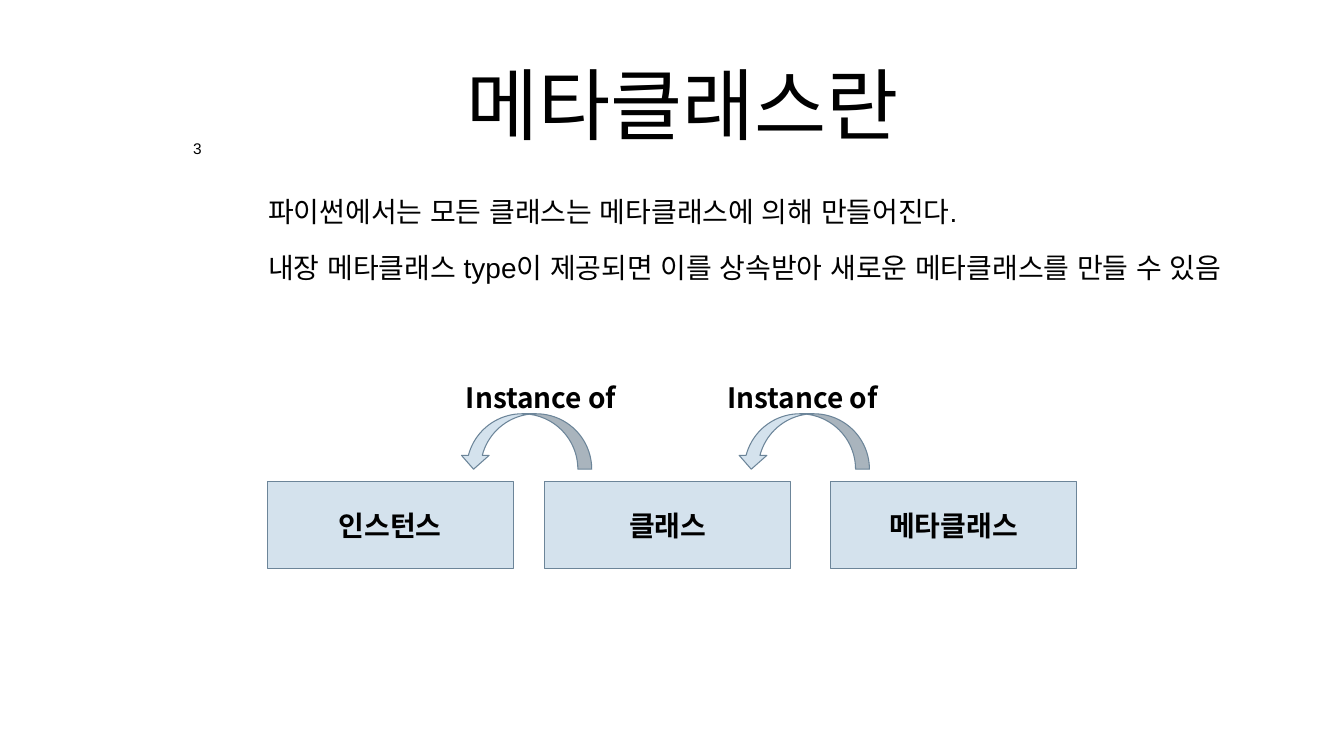
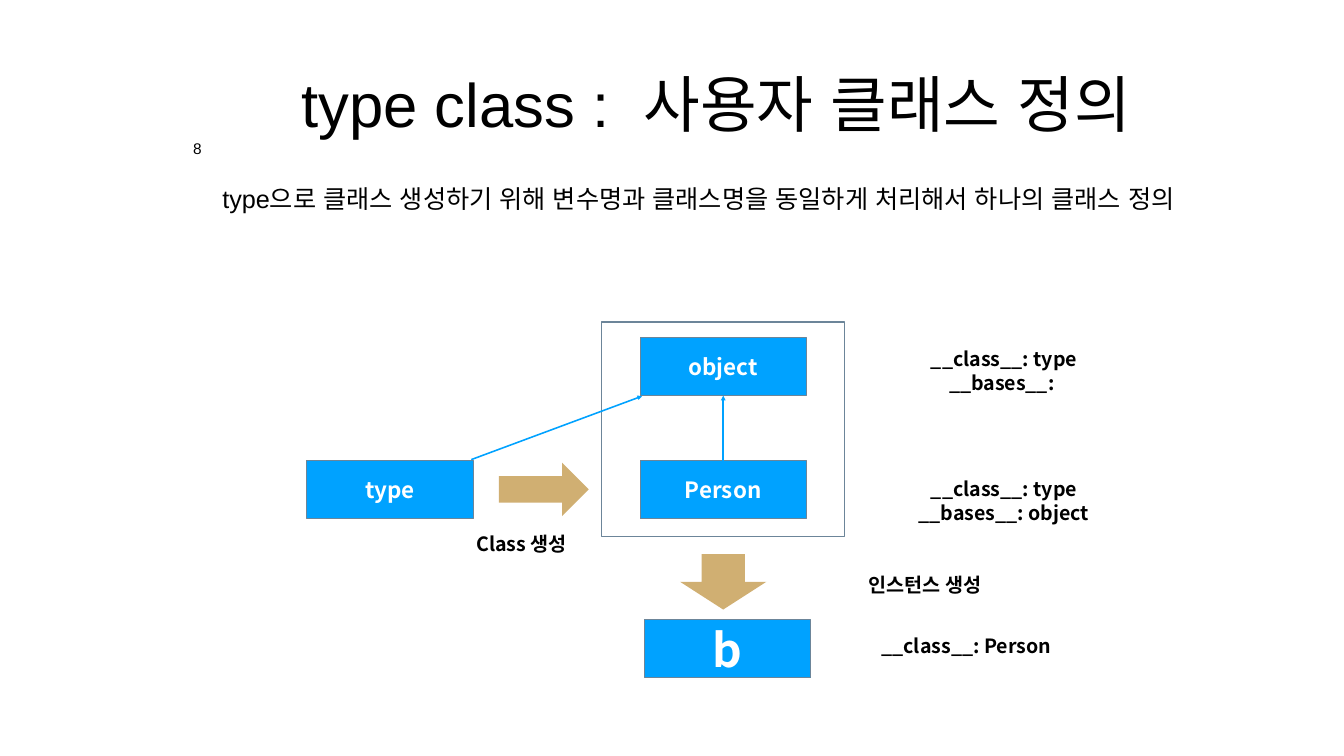
from lxml.etree import SubElement
from pptx import Presentation
from pptx.dml.color import RGBColor
from pptx.enum.shapes import MSO_CONNECTOR, MSO_SHAPE
from pptx.enum.text import MSO_ANCHOR, MSO_AUTO_SIZE, PP_ALIGN
from pptx.oxml.ns import qn
from pptx.util import Pt

BLACK = RGBColor(0x00, 0x00, 0x00)
WHITE = RGBColor(0xFF, 0xFF, 0xFF)
PALE_BLUE = RGBColor(0xD4, 0xE2, 0xED)
SLATE = RGBColor(0x6C, 0x85, 0x99)
BRIGHT_BLUE = RGBColor(0x00, 0xA2, 0xFF)
SAND = RGBColor(0xD0, 0xAF, 0x72)
PLAIN = "Arial"
STRONG = "Noto Sans CJK KR"


def write(shape, text, size, font=STRONG, color=BLACK, align=PP_ALIGN.CENTER,
          anchor=MSO_ANCHOR.TOP, inset=(7.2, 3.6), wrap=True, spacing=None,
          before=0, indent=0):
    """Fill a shape with one paragraph per line of text."""
    frame = shape.text_frame
    frame.auto_size = MSO_AUTO_SIZE.NONE
    frame.word_wrap = wrap
    frame.vertical_anchor = anchor
    frame.margin_left = frame.margin_right = Pt(inset[0])
    frame.margin_top = frame.margin_bottom = Pt(inset[1])
    if font == STRONG:
        spacing = Pt(round(size * 1.21, 1))
    frame.text = text
    for paragraph in frame.paragraphs:
        paragraph.alignment = align
        paragraph.space_before = Pt(before)
        if spacing:
            paragraph.line_spacing = spacing
        if indent:
            paragraph._p.get_or_add_pPr().set("indent", str(Pt(indent)))
        for run in paragraph.runs:
            run.font.size = Pt(size)
            run.font.bold = font == STRONG
            run.font.color.rgb = color
            run.font.name = font
            SubElement(run.font._element, qn("a:ea"), typeface=font)


def draw(slide, preset, box, fill=None, line=SLATE):
    """Add a preset shape with an optional fill and outline."""
    shape = slide.shapes.add_shape(preset, *map(Pt, box))
    shape.shadow.inherit = False
    if fill is None:
        shape.fill.background()
    else:
        shape.fill.solid()
        shape.fill.fore_color.rgb = fill
    if line is None:
        shape.line.fill.background()
    else:
        shape.line.color.rgb = line
        shape.line.width = Pt(1.5)
    return shape


deck = Presentation()
deck.slide_width, deck.slide_height = Pt(1920), Pt(1080)

# Titles and page numbers
pages = []
for heading, width, size, number in (
    (" 메타클래스란", 1229, 112, "3"),
    ("type class :  사용자 클래스 정의 ", 1379.5, 88, "8"),
):
    page = deck.slides.add_slide(deck.slide_layouts[5])
    title = page.shapes.title
    title.left, title.top, title.width, title.height = map(Pt, (345.6, 28, width, 239))
    write(title, heading, size, font=PLAIN, anchor=MSO_ANCHOR.MIDDLE, inset=(5.8, 5.8))
    page_number = page.shapes.add_textbox(*map(Pt, (270, 198, 23.8, 32.4)))
    write(page_number, number, 22, font=PLAIN, inset=(5.8, 5.8), wrap=False, spacing=0.8)
    pages.append(page)
metaclass_page, type_page = pages

# Slide 1: explanation
explanation = metaclass_page.shapes.add_textbox(*map(Pt, (314, 248.4, 1563, 211.7)))
write(explanation,
      "파이썬에서는 모든 클래스는 메타클래스에 의해 만들어진다.\n"
      "내장 메타클래스 type이 제공되면 이를 상속받아 새로운 메타클래스를 만들 수 있음",
      40, font=PLAIN, align=PP_ALIGN.LEFT, inset=(5.8, 5.8), spacing=1.5, before=8,
      indent=63.4)

# Slide 1: chain from instance to metaclass
for left, name in ((381.6, "인스턴스"), (778.3, "클래스"), (1186.6, "메타클래스")):
    link = draw(metaclass_page, MSO_SHAPE.RECTANGLE, (left, 687.6, 351.4, 124.6), PALE_BLUE)
    write(link, name, 40, anchor=MSO_ANCHOR.MIDDLE)

for arc_left, label_left in ((711.4, 653.8), (1108.1, 1027.4)):
    arc = draw(metaclass_page, MSO_SHAPE.CURVED_RIGHT_ARROW,
               (arc_left, 536.4, 79.2, 188.6), PALE_BLUE)
    arc.rotation = 90
    relation = metaclass_page.shapes.add_textbox(*map(Pt, (label_left, 540, 238.3, 55.4)))
    write(relation, "Instance of", 40)

# Slide 2: explanation
explanation = type_page.shapes.add_textbox(*map(Pt, (311.8, 256.3, 1525.7, 187.2)))
write(explanation,
      "type으로 클래스 생성하기 위해 변수명과 클래스명을 동일하게 처리해서 하나의 클래스 정의",
      36, font=PLAIN, align=PP_ALIGN.LEFT, inset=(5.8, 5.8), before=12)

# Slide 2: class boxes and the frame around object and Person
draw(type_page, MSO_SHAPE.RECTANGLE, (859, 460, 347.8, 306))
classes = {}
for name, left, top, size in (
    ("object", 914.4, 482.4, 32),
    ("type", 438.5, 658, 32),
    ("Person", 914.4, 658, 32),
    ("b", 920.9, 885.6, 66),
):
    classes[name] = draw(type_page, MSO_SHAPE.RECTANGLE, (left, top, 237.6, 82.8), BRIGHT_BLUE)
    write(classes[name], name, size, color=WHITE, anchor=MSO_ANCHOR.MIDDLE, inset=(7.2, 0))

# Slide 2: block arrows for creation
draw(type_page, MSO_SHAPE.RIGHT_ARROW, (712.8, 661, 128.2, 76.3), SAND, line=None)
draw(type_page, MSO_SHAPE.DOWN_ARROW, (971.6, 791.6, 123.1, 79.2), SAND, line=None)

# Slide 2: inheritance lines to object
type_to_object = type_page.shapes.add_connector(
    MSO_CONNECTOR.STRAIGHT, *map(Pt, (673.2, 656.6, 917.3, 565.9)))
person_to_object = type_page.shapes.add_connector(
    MSO_CONNECTOR.STRAIGHT, *map(Pt, (1033.2, 658, 1033.2, 565.2)))
person_to_object.begin_connect(classes["Person"], 0)
person_to_object.end_connect(classes["object"], 2)
for inheritance in (type_to_object, person_to_object):
    inheritance.line.color.rgb = BRIGHT_BLUE
    inheritance.line.width = Pt(2.25)
    SubElement(inheritance.line._get_or_add_ln(), qn("a:tailEnd"), type="triangle")
    SubElement(inheritance._element.spPr, qn("a:effectLst"))

# Slide 2: captions and class attributes
for caption, left, top, width, height in (
    ("Class 생성", 575.3, 756, 339, 41),
    ("인스턴스 생성", 1152, 814.3, 339, 41),
    ("__class__: Person", 1158.5, 901.4, 443.5, 41),
    ("__class__: type\n__bases__: object", 1212.5, 677.5, 443.5, 75),
    ("__class__: type\n__bases__: ", 1212.5, 491.8, 443.5, 75),
):
    write(type_page.shapes.add_textbox(*map(Pt, (left, top, width, height))), caption, 28)

deck.save("out.pptx")
